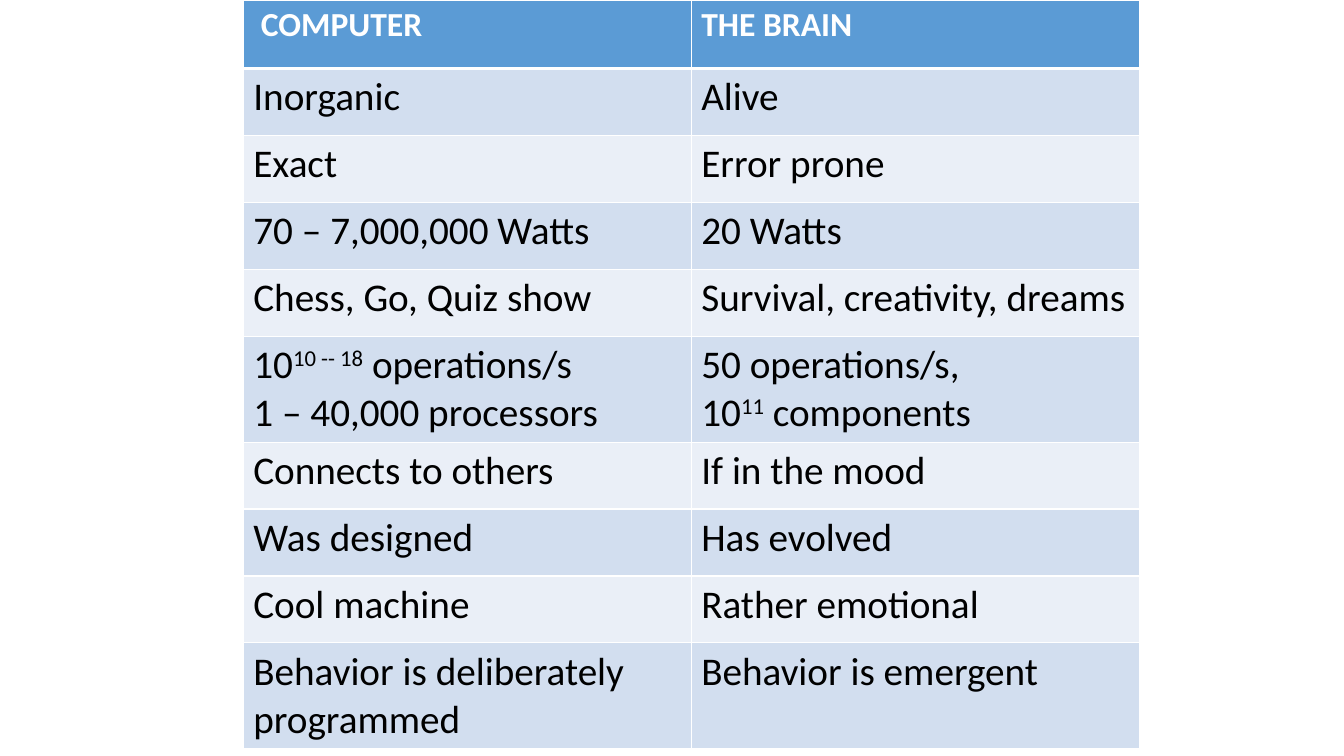
from lxml.etree import SubElement
from pptx import Presentation
from pptx.dml.color import RGBColor
from pptx.oxml.ns import qn
from pptx.util import Pt

HUES = {
    "head": "5B9BD5",
    "odd": "D2DEEF",
    "even": "EAEFF7",
    "line": "FFFFFF",
    "text": "000000",
}
FONT = "Calibri"
LEFT, WIDE = 173.8, 320
HEAD, TALL = 49, 47.8

# A newline starts a paragraph, carets enclose a superscript
ROWS = [
    ("COMPUTER", "THE BRAIN"),
    ("Inorganic", "Alive"),
    ("Exact", "Error prone"),
    ("70 – 7,000,000 Watts", "20 Watts"),
    ("Chess, Go, Quiz show", "Survival, creativity, dreams"),
    ("10^10 -- 18^ operations/s\n1 – 40,000 processors",
     "50 operations/s,\n10^11^ components"),
    ("Connects to others", "If in the mood"),
    ("Was designed", "Has evolved"),
    ("Cool machine", "Rather emotional"),
    ("Behavior is deliberately programmed", "Behavior is emergent"),
]


def color(name):
    return RGBColor.from_string(HUES[name])


def add_runs(para, text, size, hue, bold):
    for i, part in enumerate(text.split("^")):
        run = para.add_run()
        run.text = part
        font = run.font
        font.name, font.size, font.bold = FONT, Pt(size), bold
        font.color.rgb = color(hue)
        if i % 2:
            run._r.get_or_add_rPr().set("baseline", "30000")


def add_edges(cell, top, bottom):
    props = cell._tc.get_or_add_tcPr()
    for side, width in (("L", 1), ("R", 1), ("T", top), ("B", bottom)):
        line = SubElement(props, qn(f"a:ln{side}"), w=str(Pt(width)))
        fill = SubElement(line, qn("a:solidFill"))
        SubElement(fill, qn("a:srgbClr"), val=HUES["line"])


def fill_cell(cell, text, row):
    # The header row is set apart by a thick rule below it
    add_edges(cell, 3 if row == 1 else 1, 3 if row == 0 else 1)
    cell.fill.solid()
    band = "head" if row == 0 else "odd" if row % 2 else "even"
    cell.fill.fore_color.rgb = color(band)
    style = (24, "line", True) if row == 0 else (28, "text", False)
    frame = cell.text_frame
    for i, line in enumerate(text.split("\n")):
        para = frame.add_paragraph() if i else frame.paragraphs[0]
        add_runs(para, line, *style)


def add_grid(slide, rows):
    high = HEAD + TALL * (len(rows) - 1)
    table = slide.shapes.add_table(
        len(rows), 2, Pt(LEFT), Pt(0), Pt(2 * WIDE), Pt(high)).table
    for col in table.columns:
        col.width = Pt(WIDE)
    for r, texts in enumerate(rows):
        table.rows[r].height = Pt(TALL if r else HEAD)
        for c, text in enumerate(texts):
            fill_cell(table.cell(r, c), text, r)
    return table


def main():
    deck = Presentation()
    deck.slide_width, deck.slide_height = Pt(960), Pt(540)
    slide = deck.slides.add_slide(deck.slide_layouts[6])

    # Comparison table, with the first heading slightly indented
    table = add_grid(slide, ROWS)
    table.cell(0, 0).margin_left = Pt(12.6)

    deck.save("out.pptx")


if __name__ == "__main__":
    main()
